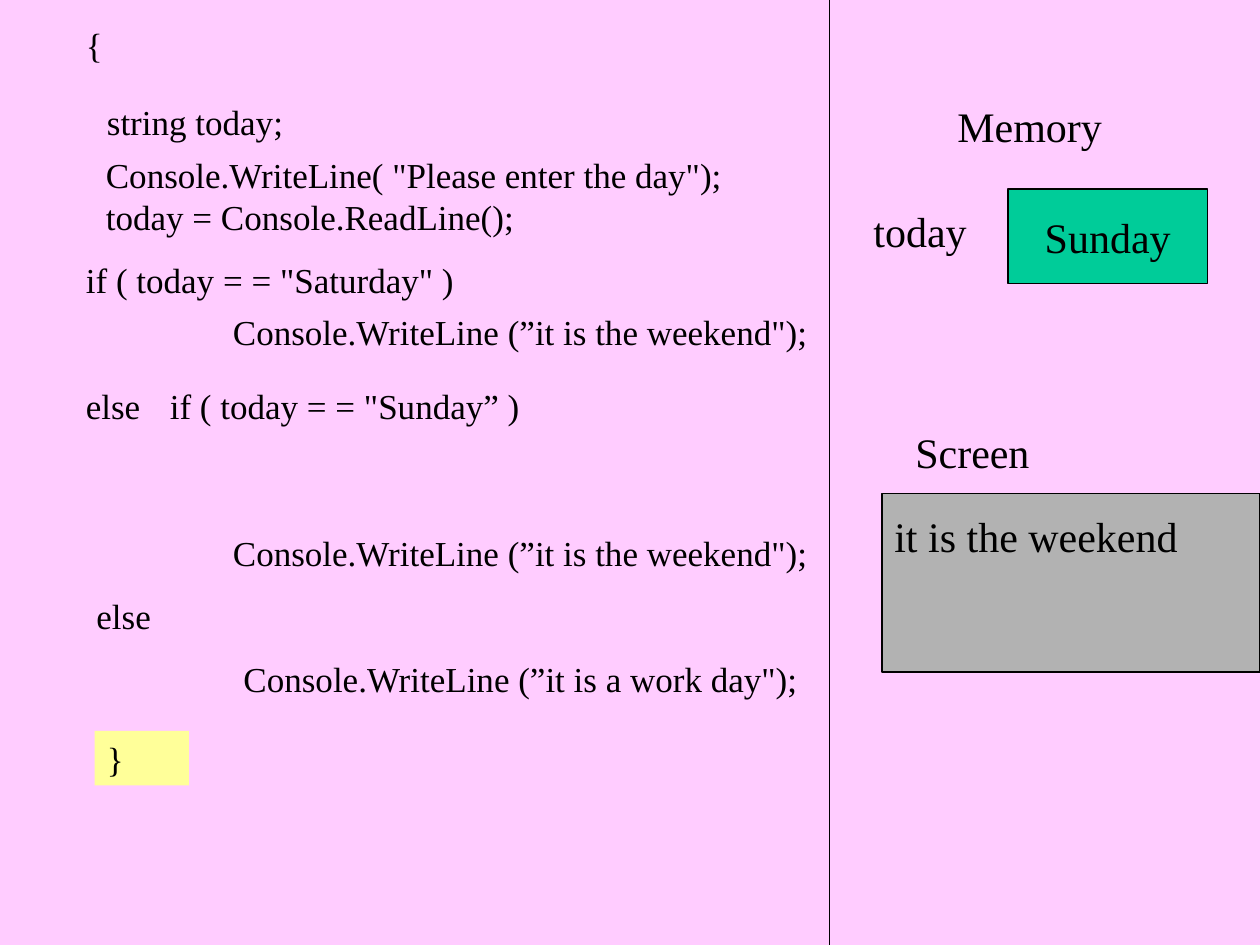
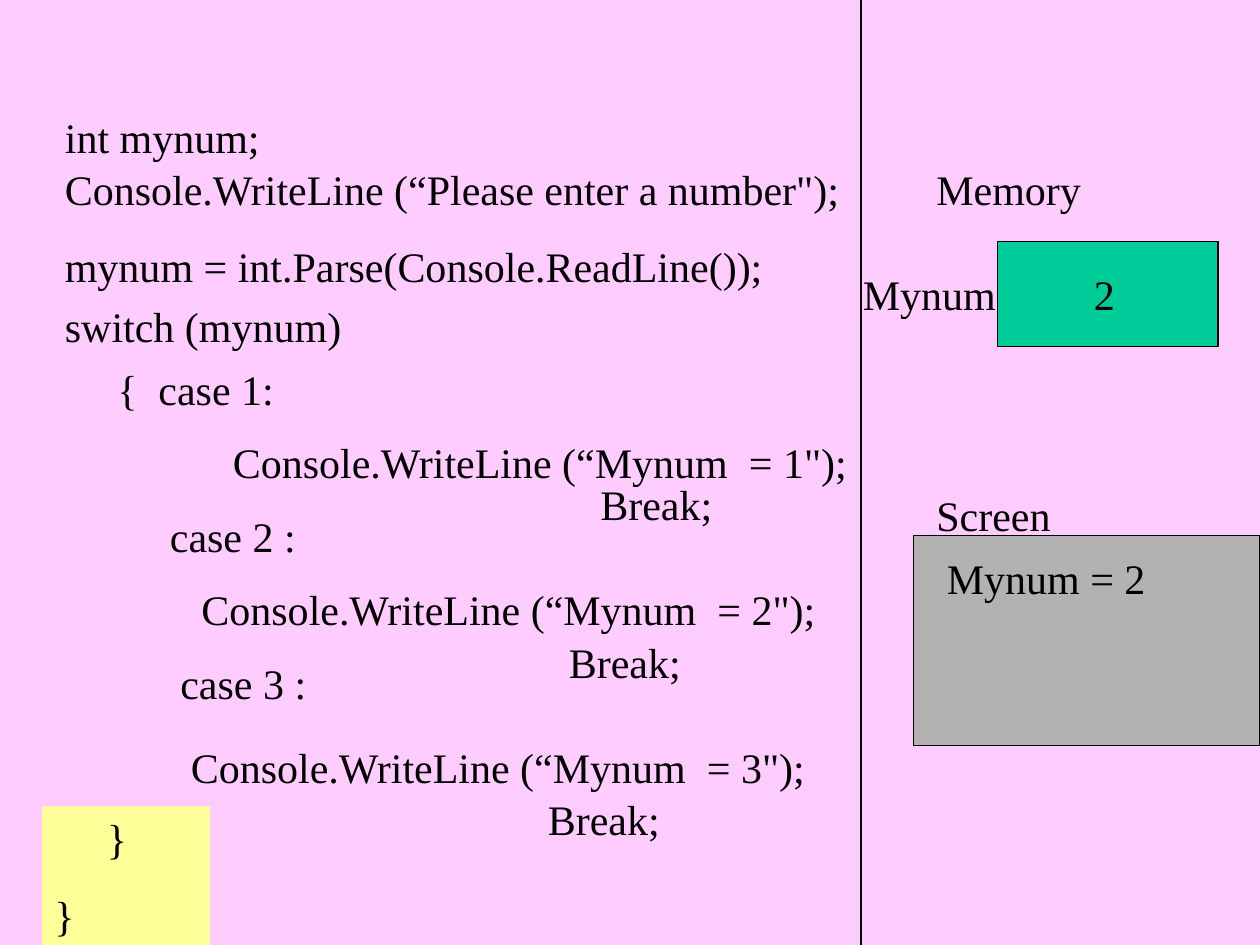
from dataclasses import dataclass

from lxml import etree
from pptx import Presentation
from pptx import util as u
from pptx.dml.color import RGBColor
from pptx.enum import shapes, text
from pptx.oxml.ns import qn

EMU_PER_PX = 7620
PX_PER_POINT = 120 / 72
PAGE_WIDTH, PAGE_HEIGHT = 1200, 900
FONT = "Times New Roman"
LABEL_SIZE = 24
COLOURS = {
    "page": "FFCCFF",
    "ink": "000000",
    "memory": "00CC99",
    "screen": "B2B2B2",
    "highlight": "FFFF99",
}


@dataclass(frozen=True)
class Snippet:
    words: str
    left: int
    top: int
    width: int
    fill: str = ""
    wrap: bool = True


@dataclass(frozen=True)
class Panel:
    left: int
    top: int
    width: int
    height: int
    fill: str
    words: str = ""


@dataclass(frozen=True)
class TracePage:
    divider: int
    code_size: int
    line_gap: int
    panels: list[Panel]
    labels: list[Snippet]
    code: list[Snippet]


TRACES = [
    TracePage(
        divider=790,
        code_size=20,
        line_gap=0,
        panels=[
            Panel(960, 180, 190, 90, "memory", "Sunday"),
            Panel(840, 470, 360, 170, "screen"),
        ],
        labels=[
            Snippet("Memory", 900, 90, 220),
            Snippet("today", 820, 190, 140),
            Snippet("Screen", 860, 400, 240),
            Snippet("it is the weekend", 840, 480, 300),
        ],
        code=[
            Snippet("{", 70, 16, 510),
            Snippet("string today;", 90, 90, 340),
            Snippet(
                'Console.WriteLine( "Please enter the day");\ntoday = Console.ReadLine();',
                89, 140, 620, wrap=False,
            ),
            Snippet('if ( today = = "Saturday" )', 70, 240, 440),
            Snippet('Console.WriteLine (”it is the weekend");', 210, 290, 690),
            Snippet("else", 70, 360, 110),
            Snippet('if ( today = = "Sunday” )', 150, 360, 420),
            Snippet('Console.WriteLine (”it is the weekend");', 210, 500, 680),
            Snippet("else", 80, 560, 140),
            Snippet('Console.WriteLine (”it is a work day");', 220, 620, 740),
            Snippet("}", 90, 696, 90, "highlight"),
        ],
    ),
    TracePage(
        divider=820,
        code_size=24,
        line_gap=15,
        panels=[
            Panel(950, 230, 210, 100, "memory"),
            Panel(870, 510, 330, 200, "screen"),
        ],
        labels=[
            Snippet("Memory", 880, 150, 240),
            Snippet("Mynum", 810, 250, 170),
            Snippet("2", 1030, 250, 60),
            Snippet("Screen", 880, 460, 320),
            Snippet("Mynum = 2", 890, 520, 310),
        ],
        code=[
            Snippet("int mynum;", 50, 100, 210),
            Snippet(
                'Console.WriteLine (“Please enter a number");\n'
                "mynum = int.Parse(Console.ReadLine());",
                50, 150, 780,
            ),
            Snippet("switch (mynum)", 50, 280, 310),
            Snippet("{  case 1:", 100, 340, 240),
            Snippet('Console.WriteLine (“Mynum  = 1");', 210, 410, 660),
            Snippet("Break;", 560, 450, 230),
            Snippet("case 2 :", 150, 480, 160),
            Snippet('Console.WriteLine (“Mynum  = 2");', 180, 550, 620),
            Snippet("Break;", 530, 600, 230),
            Snippet("case 3 :", 160, 620, 170),
            Snippet('Console.WriteLine (“Mynum  = 3");', 170, 700, 630),
            Snippet("Break;", 510, 750, 230),
            Snippet("     }\n}", 40, 768, 160, "highlight"),
        ],
    ),
]


def px(*lengths: float) -> list[int]:
    return [u.Emu(round(length * EMU_PER_PX)) for length in lengths]


def paint(colour_format, colour: str) -> None:
    colour_format.rgb = RGBColor.from_string(colour)


def apply(target, values: dict) -> None:
    for name, value in values.items():
        setattr(target, name, value)


def outline(line) -> None:
    paint(line.color, COLOURS["ink"])
    line.width = u.Pt(0.75)


def write(frame, words: str, size: int, gap: int, align) -> None:
    for index, line in enumerate(words.split("\n")):
        para = frame.paragraphs[0] if index == 0 else frame.add_paragraph()
        para.alignment = align
        if index and gap:
            para.space_before = u.Pt(gap)
        span = para.add_run()
        span.text = line
        apply(span.font, {"name": FONT, "size": u.Pt(size)})
        paint(span.font.color, COLOURS["ink"])


def add_rectangle(page, bounds: list[int], fill: str):
    box = page.shapes.add_shape(shapes.MSO_SHAPE.RECTANGLE, *bounds)
    box.shadow.inherit = False
    box.fill.solid()
    paint(box.fill.fore_color, COLOURS[fill])
    return box


def add_panel(page, panel: Panel) -> None:
    bounds = px(panel.left, panel.top, panel.width, panel.height)
    box = add_rectangle(page, bounds, panel.fill)
    outline(box.line)
    if panel.words:
        apply(box.text_frame, {
            "word_wrap": False,
            "vertical_anchor": text.MSO_ANCHOR.MIDDLE,
        })
        write(box.text_frame, panel.words, LABEL_SIZE, 0, text.PP_ALIGN.CENTER)


def add_snippet(page, snippet: Snippet, size: int, gap: int) -> None:
    rows = snippet.words.count("\n") + 1
    height = (rows * size * 1.2 + (rows - 1) * gap + 7.2) * PX_PER_POINT
    bounds = px(snippet.left, snippet.top, snippet.width, height)
    if snippet.fill:
        box = add_rectangle(page, bounds, snippet.fill)
        box.line.fill.background()
    else:
        box = page.shapes.add_textbox(*bounds)
    apply(box.text_frame, {
        "word_wrap": snippet.wrap,
        "auto_size": text.MSO_AUTO_SIZE.SHAPE_TO_FIT_TEXT,
        "vertical_anchor": text.MSO_ANCHOR.TOP,
    })
    write(box.text_frame, snippet.words, size, gap, text.PP_ALIGN.LEFT)


def add_divider(page, left: int) -> None:
    divider = page.shapes.add_connector(
        shapes.MSO_CONNECTOR.STRAIGHT, *px(left, 0, left, PAGE_HEIGHT)
    )
    outline(divider.line)
    etree.SubElement(divider.element.spPr, qn("a:effectLst"))


def add_trace(deck, trace: TracePage) -> None:
    page = deck.slides.add_slide(deck.slide_layouts[6])
    page.background.fill.solid()
    paint(page.background.fill.fore_color, COLOURS["page"])
    add_divider(page, trace.divider)
    for panel in trace.panels:
        add_panel(page, panel)
    for label in trace.labels:
        add_snippet(page, label, LABEL_SIZE, 0)
    for snippet in trace.code:
        add_snippet(page, snippet, trace.code_size, trace.line_gap)


def main() -> None:
    deck = Presentation()
    deck.slide_width, deck.slide_height = px(PAGE_WIDTH, PAGE_HEIGHT)
    for trace in TRACES:
        add_trace(deck, trace)
    deck.save("out.pptx")


if __name__ == "__main__":
    main()
